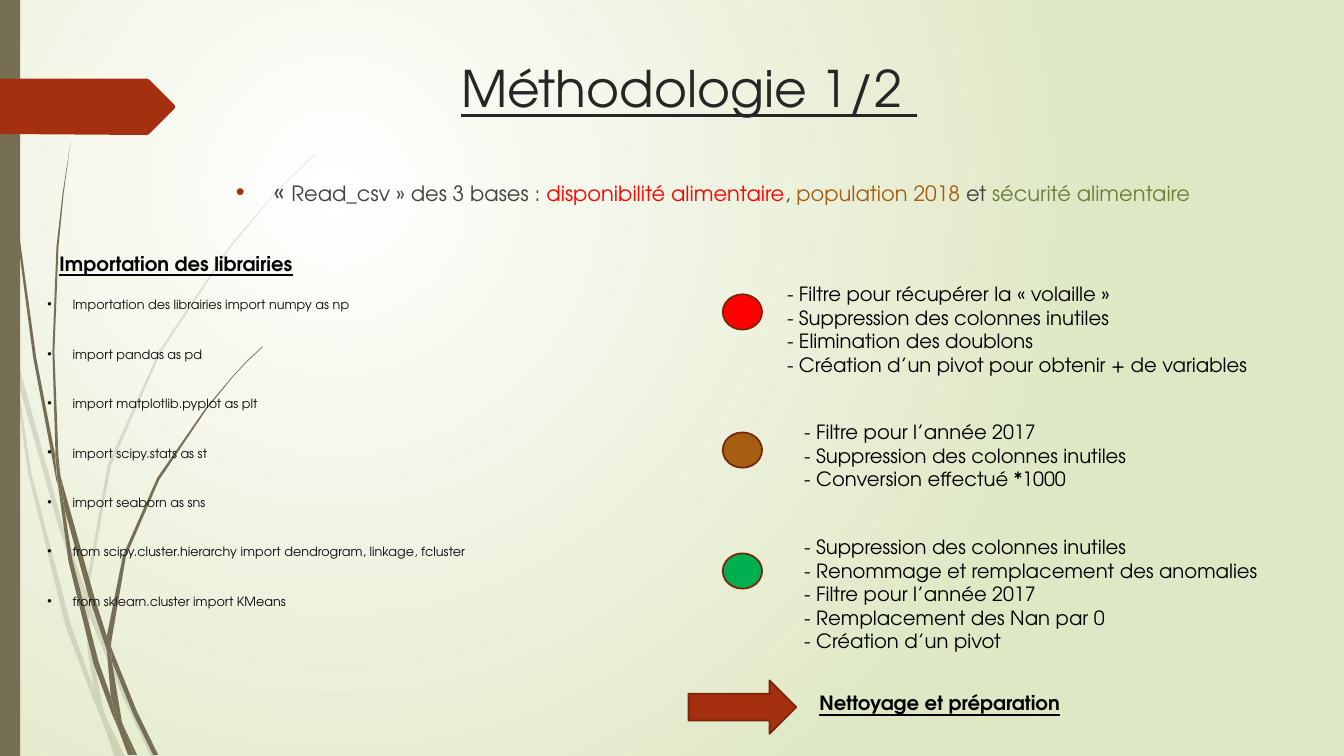
from dataclasses import dataclass

from lxml.etree import SubElement
from pptx import Presentation
from pptx.dml.color import RGBColor
from pptx.enum.shapes import MSO_SHAPE
from pptx.enum.text import MSO_ANCHOR, MSO_AUTO_SIZE, PP_ALIGN
from pptx.oxml.ns import qn
from pptx.util import Pt

FONT = "TeX Gyre Adventor"
RUST, RUST_DARK, STEM, DARK, BLACK = "A53010", "7A240C", "766F54", "404040", "000000"
HUNDREDTH = Pt(0.72)  # one outline unit: a hundredth of an inch


@dataclass(frozen=True)
class Step:
    color: str
    dot_top: float
    text_left: float
    text_top: float
    lines: tuple[str, ...]


@dataclass(frozen=True)
class Heading:
    text: str
    box: tuple[float, float, float, float]
    wrap: bool


@dataclass(frozen=True)
class Grass:
    alpha: int
    blades: tuple[tuple[tuple[int, int], ...], ...]


STEPS = (
    Step("FF0000", 210.24, 555.12, 198, (
        "- Filtre pour récupérer la « volaille »", "- Suppression des colonnes inutiles",
        "- Elimination des doublons", "- Création d’un pivot pour obtenir + de variables")),
    Step("A65E12", 308.88, 567.36, 296.64, (
        "- Filtre pour l’année 2017", "- Suppression des colonnes inutiles",
        "- Conversion effectué *1000")),
    Step("00B050", 395.28, 567.36, 378.72, (
        "- Suppression des colonnes inutiles", "- Renommage et remplacement des anomalies",
        "- Filtre pour l’année 2017", "- Remplacement des Nan par 0", "- Création d’un pivot")),
)
HEADINGS = (
    Heading("Importation des librairies", (35.28, 176.4, 186.48, 24.48), False),
    Heading("Nettoyage et préparation", (578.16, 490.32, 254.88, 24.48), True),
)
SOURCES = (
    ("« ", 18, DARK), ("Read_csv » des 3 bases : ", 15, DARK),
    ("disponibilité alimentaire", 15, "FF0000"), (", ", 15, DARK),
    ("population 2018 ", 15, "A65E12"), ("et ", 15, DARK),
    ("sécurité alimentaire", 15, "6D7F39"),
)
LIBRARIES = (
    "Importation des librairies import numpy as np", "import pandas as pd",
    "import matplotlib.pyplot as plt", "import scipy.stats as st", "import seaborn as sns",
    "from scipy.cluster.hierarchy import dendrogram, linkage, fcluster",
    "from sklearn.cluster import KMeans",
)
PALE_GRASS = Grass(20, (
    ((11, 350), (9, 322), (0, 282), (0, 299), (10, 344)),
    ((58, 522), (84, 599), (85, 586), (62, 520), (14, 345), (17, 376)),
    ((92, 607), (88, 596), (88, 610), (123, 694), (150, 751), (155, 751), (127, 692)),
    ((119, 751), (124, 751), (105, 711)),
    ((93, 683), (70, 619), (31, 469), (17, 376), (11, 350), (28, 470), (65, 621),
     (92, 693), (101, 714), (99, 707)),
    ((84, 599), (87, 646), (93, 683), (96, 692), (105, 711), (103, 706), (91, 646),
     (88, 610), (88, 608)),
    ((88, 584), (110, 462), (160, 349), (229, 245), (268, 198), (290, 175), (312, 154),
     (312, 153), (289, 175), (268, 197), (228, 244), (158, 348), (107, 461), (85, 584),
     (85, 586), (88, 596)),
    ((101, 714), (114, 751), (119, 751)),
    ((88, 608), (88, 610), (88, 596), (85, 586), (84, 599)),
    ((96, 692), (93, 683), (99, 707), (101, 714), (119, 751), (105, 711)),
))
DARK_GRASS = Grass(100, (
    ((7, 110), (17, 233), (33, 355), (56, 477), (57, 481), (55, 457), (55, 453), (36, 355),
     (19, 232), (8, 109), (5, 48), (4, 0), (3, 0), (4, 48)),
    ((88, 592), (106, 645), (106, 633), (106, 631), (93, 590), (60, 472), (64, 505)),
    ((113, 649), (110, 641), (111, 656), (132, 708), (152, 749), (157, 749), (136, 706)),
    ((110, 691), (98, 657), (72, 556), (64, 505), (57, 477), (68, 557), (93, 659),
     (111, 708), (117, 722), (116, 717)),
    ((60, 472), (58, 453), (54, 349), (58, 245), (63, 193), (70, 141), (62, 193),
     (56, 245), (52, 349), (55, 449)),
    ((133, 749), (136, 749), (122, 719)),
    ((57, 477), (64, 505), (60, 472), (55, 449), (55, 453)),
    ((111, 633), (125, 552), (158, 476), (205, 406), (231, 374), (245, 359), (261, 344),
     (260, 344), (245, 358), (231, 373), (204, 405), (156, 474), (122, 551), (106, 631),
     (110, 641)),
    ((117, 722), (127, 749), (131, 749)),
    ((106, 645), (110, 691), (116, 706), (122, 719), (121, 716), (111, 656), (109, 651)),
    ((106, 645), (109, 651), (111, 656), (110, 641), (106, 631), (106, 633)),
    ((116, 706), (110, 691), (116, 717), (117, 722), (130, 749), (133, 749), (122, 719)),
))
RIBBON = ((173, 108), (148, 133), (146, 134), (0, 133), (0, 78), (146, 78), (148, 79),
          (173, 104), (174, 106))


def rgb(color: str) -> RGBColor:
    return RGBColor.from_string(color)


def paint(sp, fill: str, line: str | None = None) -> None:
    sp.shadow.inherit = False
    sp.fill.solid()
    sp.fill.fore_color.rgb = rgb(fill)
    if line:
        sp.line.color.rgb = rgb(line)
        sp.line.width = Pt(1.25)
    else:
        sp.line.fill.background()


def add_outline(shapes, points, fill: str):
    builder = shapes.build_freeform(*points[0], scale=HUNDREDTH)
    builder.add_line_segments(points[1:], close=True)
    sp = builder.convert_to_shape()
    paint(sp, fill)
    return sp


def add_grass(s, grass: Grass) -> None:
    group = s.shapes.add_group_shape()
    for blade in grass.blades:
        sp = add_outline(group.shapes, blade, STEM)
        if grass.alpha < 100:
            color = sp._element.spPr.find(qn("a:solidFill"))[0]
            SubElement(color, qn("a:alpha"), val=str(grass.alpha * 1000))


def add_preset(s, kind: MSO_SHAPE, box, fill: str, line: str | None = None) -> None:
    paint(s.shapes.add_shape(kind, *map(Pt, box)), fill, line)


def add_run(p, text: str, size: float, color: str, **formats) -> None:
    r = p.add_run()
    r.text = text
    for name, value in {"name": FONT, "size": Pt(size), **formats}.items():
        setattr(r.font, name, value)
    r.font.color.rgb = rgb(color)


def add_text(s, box, lines, wrap: bool = True, **formats) -> None:
    tf = s.shapes.add_textbox(*map(Pt, box)).text_frame
    tf.word_wrap = wrap
    tf.auto_size = MSO_AUTO_SIZE.SHAPE_TO_FIT_TEXT
    for i, line in enumerate(lines):
        p = tf.add_paragraph() if i else tf.paragraphs[0]
        add_run(p, line, 14, BLACK, **formats)


def place(s, idx: int, box):
    """Move a placeholder to its box, in front of what is drawn, and return its text frame."""
    sp = s.placeholders[idx]
    sp.left, sp.top, sp.width, sp.height = map(Pt, box)
    s.shapes._spTree.append(sp._element)
    tf = sp.text_frame
    formats = {"word_wrap": True, "auto_size": MSO_AUTO_SIZE.NONE,
               "vertical_anchor": MSO_ANCHOR.TOP}
    for name, value in formats.items():
        setattr(tf, name, value)
    return tf


def set_bullet(p, indent: float, color: str, before: float, spacing: float = 1.0) -> None:
    p.space_before, p.line_spacing = Pt(before), spacing
    pPr = p._p.get_or_add_pPr()
    pPr.set("marL", str(Pt(indent)))
    pPr.set("indent", str(-Pt(indent)))
    SubElement(SubElement(pPr, qn("a:buClr")), qn("a:srgbClr"), val=color)
    SubElement(pPr, qn("a:buFont"), typeface="Arial")
    SubElement(pPr, qn("a:buChar"), char="•")


def set_background(s) -> None:
    fill = s.background.fill
    fill.gradient()
    for stop, position, color in zip(fill.gradient_stops, (0, 1), ("FFFFFF", "DFE8C4")):
        stop.position = position
        stop.color.rgb = rgb(color)
    grad = s._element.find(".//" + qn("a:gradFill"))
    grad.remove(grad.find(qn("a:lin")))
    radial = SubElement(grad, qn("a:path"), path="circle")
    SubElement(radial, qn("a:fillToRect"), l="50000", t="50000", r="100000", b="100000")


def main() -> None:
    prs = Presentation()
    prs.slide_width, prs.slide_height = Pt(960), Pt(540)
    s = prs.slides.add_slide(prs.slide_layouts[3])
    set_background(s)
    add_grass(s, PALE_GRASS)
    add_grass(s, DARK_GRASS)
    add_preset(s, MSO_SHAPE.RECTANGLE, (0, 0, 14.4, 540), STEM)
    add_outline(s.shapes, RIBBON, RUST)

    p = place(s, 0, (141.12, 37.44, 702, 100.8)).paragraphs[0]
    p.alignment = PP_ALIGN.CENTER
    add_run(p, "Méthodologie 1/2 ", 36, "262626", underline=True)

    p = place(s, 1, (161.28, 122.4, 702.72, 297.36)).paragraphs[0]
    set_bullet(p, 27, RUST, 10)
    for text, size, color in SOURCES:
        add_run(p, text, size, color)

    for step in STEPS:
        add_preset(s, MSO_SHAPE.OVAL, (516.24, step.dot_top, 28.08, 25.2), step.color, RUST_DARK)
        height = 7.2 + 16.8 * len(step.lines)
        add_text(s, (step.text_left, step.text_top, 434.88, height), step.lines)

    tf = place(s, 2, (26.64, 211.68, 351.36, 252))
    for i, library in enumerate(LIBRARIES):
        p = tf.add_paragraph() if i else tf.paragraphs[0]
        set_bullet(p, 18, "0D0D0D", 27.6 if i else 10, 0.7)
        add_run(p, library, 9.1, "0D0D0D")

    add_preset(s, MSO_SHAPE.RIGHT_ARROW, (491.76, 486, 77.04, 38.16), RUST, RUST_DARK)
    for heading in HEADINGS:
        add_text(s, heading.box, (heading.text,), heading.wrap, bold=True, underline=True)
    prs.save("out.pptx")


if __name__ == "__main__":
    main()
